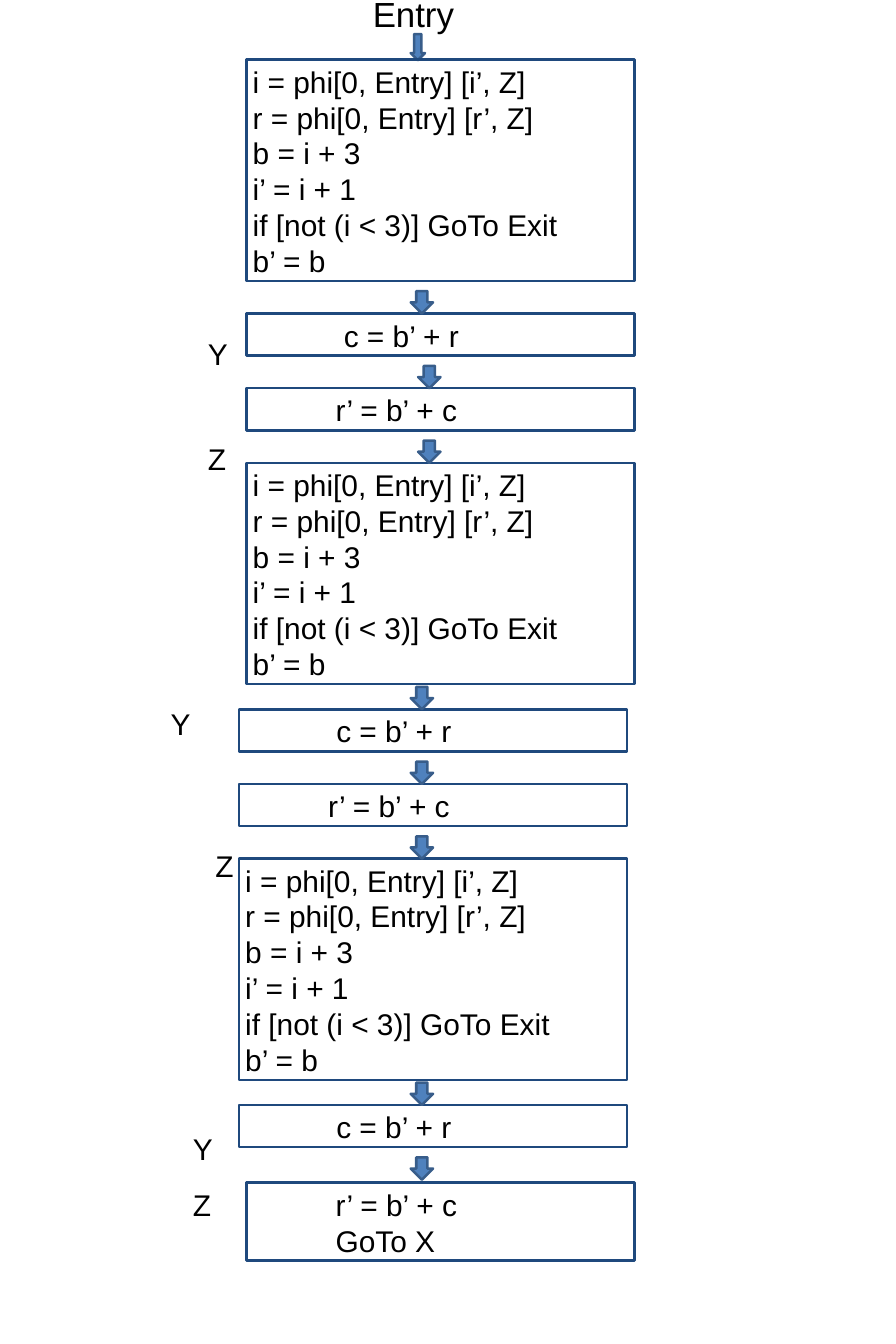
import pptx
import pptx.util
import pptx.dml.color
import pptx.enum.shapes
import pptx.enum.text

COLORS = {"text": "000000", "border": "1F497D", "arrow": "4F81BD", "arrow_line": "385D8A"}
FONT = "Arial"
COLUMNS, ROWS = 120, 180
CELL = pptx.util.Inches(10) // COLUMNS
BLOCK_WIDTH = 52
ARROW_SIZE = 3
LINE_ROWS = 4.8
PADDING = 0.84

PHI = ["i = phi[0, Entry] [i’, Z]", "r = phi[0, Entry] [r’, Z]", "b = i + 3",
       "i’ = i + 1", "if [not (i < 3)] GoTo Exit", "b’ = b"]
SUM_C = ["c = b’ + r"]
SUM_R = ["r’ = b’ + c"]
SUM_C_INDENT, SUM_R_INDENT = 12.2, 11.1

ITERATIONS = [
    {"top": 8,
     "blocks": [(PHI, 0, 33, 0), (SUM_C, SUM_C_INDENT, 33, 34), (SUM_R, SUM_R_INDENT, 33, 44)],
     "arrows": [(55, 31), (56, 41)],
     "labels": [("Y", 27, 36.5), ("Z", 27, 50.5)]},
    {"top": 62,
     "blocks": [(PHI, 0, 33, 0), (SUM_C, SUM_C_INDENT, 32, 33), (SUM_R, SUM_R_INDENT, 32, 43)],
     "arrows": [(56, -3), (55, 30), (55, 40)],
     "labels": [("Y", 22, 32), ("Z", 28, 51)]},
    {"top": 115,
     "blocks": [(PHI, 0, 32, 0), (SUM_C, SUM_C_INDENT, 32, 33),
                (SUM_R + ["GoTo X"], SUM_R_INDENT, 33, 43.4)],
     "arrows": [(55, -3), (55, 30), (55, 40)],
     "labels": [("Y", 25, 36), ("Z", 25, 43.4)]},
]


def grid(*cells):
    return [round(cell * CELL) for cell in cells]


def color(name):
    return pptx.dml.color.RGBColor.from_string(COLORS[name])


def set_line(shape, name):
    shape.line.color.rgb = color(name)
    shape.line.width = pptx.util.Pt(2)
    shape.shadow.inherit = False


def write(shape, lines, size=24, indent=0):
    frame = shape.text_frame
    frame.word_wrap = True
    frame.vertical_anchor = pptx.enum.text.MSO_ANCHOR.TOP
    frame.margin_left = pptx.util.Inches(0.07) + round(indent * CELL)
    frame.margin_right = pptx.util.Inches(0.07)
    frame.margin_top = frame.margin_bottom = pptx.util.Inches(0.04)
    frame.text = "\n".join(lines)
    for paragraph in frame.paragraphs:
        paragraph.alignment = pptx.enum.text.PP_ALIGN.LEFT
        for run in paragraph.runs:
            run.font.name = FONT
            run.font.size = pptx.util.Pt(size)
            run.font.color.rgb = color("text")


def add_block(slide, left, top, lines, indent):
    height = PADDING + LINE_ROWS * len(lines)
    block = slide.shapes.add_shape(pptx.enum.shapes.MSO_SHAPE.RECTANGLE,
                                   *grid(left, top, BLOCK_WIDTH, height))
    block.fill.background()
    set_line(block, "border")
    write(block, lines, indent=indent)


def add_arrow(slide, left, top, width=ARROW_SIZE, height=ARROW_SIZE):
    arrow = slide.shapes.add_shape(pptx.enum.shapes.MSO_SHAPE.DOWN_ARROW,
                                   *grid(left, top, width, height))
    arrow.fill.solid()
    arrow.fill.fore_color.rgb = color("arrow")
    set_line(arrow, "arrow_line")


def add_label(slide, left, top, width, height, text, size=24, indent=0):
    label = slide.shapes.add_textbox(*grid(left, top, width, height))
    write(label, [text], size, indent)


def add_entry(slide, left, top):
    add_label(slide, left, top, 22.2, 6.5, "Entry", 28, indent=9.08)
    add_arrow(slide, left + 15, top + 6, 1.92, 3.5)


def add_iteration(slide, top, blocks, arrows, labels):
    for lines, indent, left, offset in blocks:
        add_block(slide, left, top + offset, lines, indent)
    for left, offset in arrows:
        add_arrow(slide, left, top + offset)
    for text, left, offset in labels:
        add_label(slide, left, top + offset, 5, PADDING + LINE_ROWS, text)


def main():
    presentation = pptx.Presentation()
    presentation.slide_width = COLUMNS * CELL
    presentation.slide_height = ROWS * CELL
    slide = presentation.slides.add_slide(presentation.slide_layouts[6])
    add_entry(slide, 40, -1.44)
    for iteration in ITERATIONS:
        add_iteration(slide, **iteration)
    presentation.save("out.pptx")


if __name__ == "__main__":
    main()
